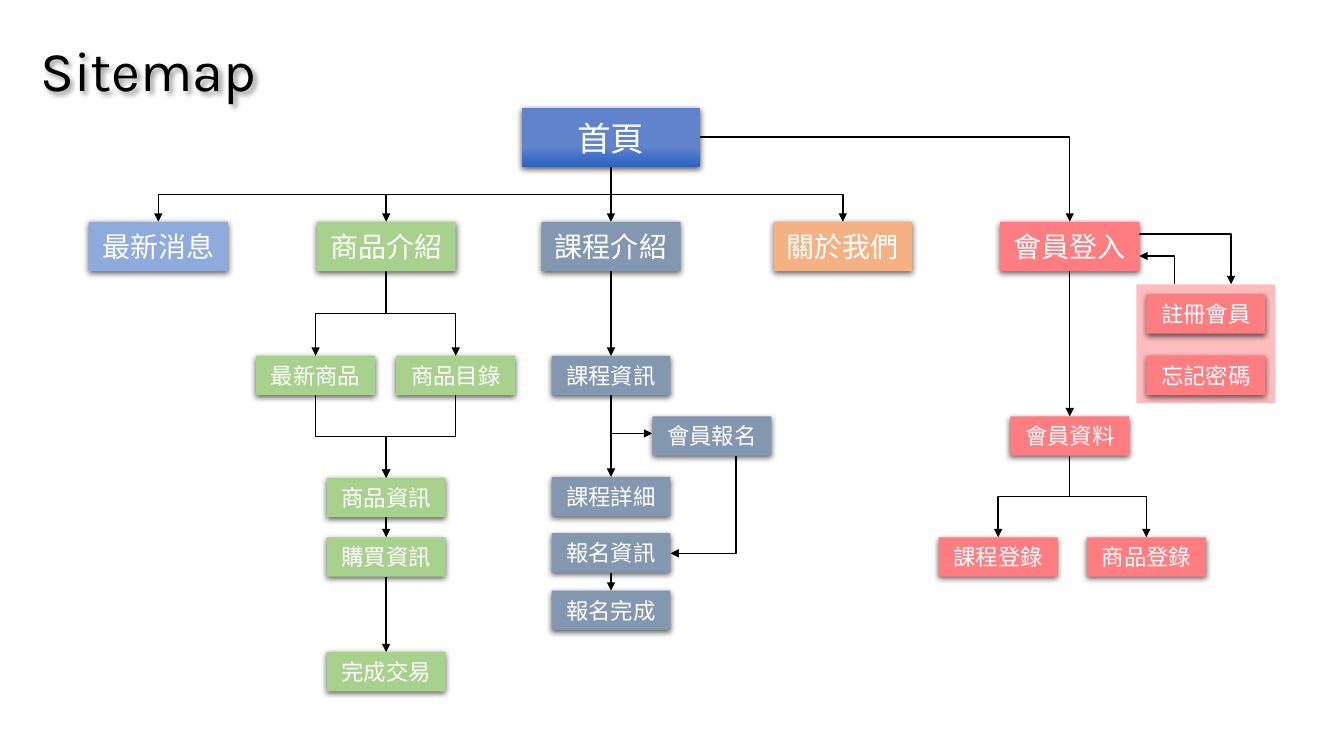
from copy import deepcopy

from lxml import etree
from pptx import Presentation
from pptx.dml.color import RGBColor
from pptx.enum.shapes import MSO_CONNECTOR, MSO_SHAPE
from pptx.enum.text import MSO_ANCHOR, PP_ALIGN
from pptx.oxml.ns import qn
from pptx.util import Inches, Pt

RECT = MSO_SHAPE.RECTANGLE
STRAIGHT, ELBOW = MSO_CONNECTOR.STRAIGHT, MSO_CONNECTOR.ELBOW
MIDDLE, CENTER = MSO_ANCHOR.MIDDLE, PP_ALIGN.CENTER

BLACK = RGBColor(0x00, 0x00, 0x00)
WHITE = RGBColor(0xFF, 0xFF, 0xFF)
BLUE = RGBColor(0x8F, 0xAA, 0xDC)
GREEN = RGBColor(0xA9, 0xD1, 0x8E)
SLATE = RGBColor(0x84, 0x97, 0xB0)
ORANGE = RGBColor(0xF4, 0xB1, 0x83)
RED = RGBColor(0xFF, 0x7C, 0x80)
FADE = [
    (0.66, RGBColor(0x61, 0x83, 0xCB)),
    (0.84, RGBColor(0x3E, 0x70, 0xCA)),
    (1.0, RGBColor(0x30, 0x62, 0xBB)),
]
LATIN, HAN = "Karla", "Noto Sans CJK JP"

# level: width, height, text size
LEVELS = {1: (1.77, 0.59, 24), 2: (1.38, 0.49, 20), 3: (1.18, 0.39, 16)}

# page: level, centre x, top, colour
PAGES = {
    "首頁": (1, 6.06, 1.07, None),
    "最新消息": (2, 1.57, 2.2, BLUE),
    "商品介紹": (2, 3.83, 2.2, GREEN),
    "課程介紹": (2, 6.06, 2.2, SLATE),
    "關於我們": (2, 8.36, 2.2, ORANGE),
    "會員登入": (2, 10.61, 2.2, RED),
    "最新商品": (3, 3.13, 3.53, GREEN),
    "商品目錄": (3, 4.52, 3.53, GREEN),
    "商品資訊": (3, 3.83, 4.74, GREEN),
    "購買資訊": (3, 3.83, 5.33, GREEN),
    "完成交易": (3, 3.83, 6.47, GREEN),
    "課程資訊": (3, 6.06, 3.53, SLATE),
    "會員報名": (3, 7.06, 4.13, SLATE),
    "課程詳細": (3, 6.06, 4.73, SLATE),
    "報名資訊": (3, 6.06, 5.29, SLATE),
    "報名完成": (3, 6.06, 5.86, SLATE),
    "註冊會員": (3, 11.96, 2.92, RED),
    "忘記密碼": (3, 11.96, 3.53, RED),
    "會員資料": (3, 10.61, 4.13, RED),
    "課程登錄": (3, 9.9, 5.33, RED),
    "商品登錄": (3, 11.37, 5.33, RED),
}

# from the foot of one page to the top of the next
DOWN = [
    ("首頁", "關於我們"), ("首頁", "最新消息"), ("首頁", "課程介紹"),
    ("商品介紹", "最新商品"), ("商品介紹", "商品目錄"),
    ("最新商品", "商品資訊"), ("商品目錄", "商品資訊"),
    ("商品資訊", "購買資訊"), ("購買資訊", "完成交易"),
    ("課程介紹", "課程資訊"), ("課程資訊", "課程詳細"),
    ("報名資訊", "報名完成"), ("會員登入", "會員資料"),
    ("會員資料", "課程登錄"), ("會員資料", "商品登錄"),
]
BRANCHES = [((3.83, 1.93), (3.83, 2.2)), ((6.06, 4.3), (6.47, 4.3))]

# one-corner arrows: start, end, leaves upright
CORNERS = [
    ((11.65, 2.82), (11.3, 2.54), True),
    ((6.94, 1.36), (10.61, 2.2), False),
    ((7.3, 4.52), (6.65, 5.49), True),
    ((11.3, 2.32), (12.21, 2.82), False),
]


def shade(shape, blur, dist, angle, alpha):
    """Give the shape a soft black shadow."""
    shape.shadow.inherit = False
    effects = shape._element.spPr.find(qn("a:effectLst"))
    outer = etree.SubElement(
        effects, qn("a:outerShdw"), blurRad=str(Pt(blur)), dist=str(Pt(dist)),
        dir=str(angle * 60000), algn="ctr", rotWithShape="0")
    black = etree.SubElement(outer, qn("a:srgbClr"), val="000000")
    etree.SubElement(black, qn("a:alpha"), val=str(alpha * 1000))


def write(shape, text, size, face, color):
    frame = shape.text_frame
    frame.word_wrap = False
    run = frame.paragraphs[0].add_run()
    run.text = text
    run.font.size = Pt(size)
    run.font.name = face
    run.font.color.rgb = color
    return run


def fade(shape):
    """Fill the shape with the three-stop gradient, top to bottom."""
    shape.fill.gradient()
    shape.fill.gradient_angle = 270
    stops = shape._element.spPr.find(".//" + qn("a:gsLst"))
    stops.append(deepcopy(stops[0]))
    for stop, (place, color) in zip(shape.fill.gradient_stops, FADE):
        stop.position = place
        stop.color.rgb = color


def add_page(slide, text, level, mid, top, color):
    wide, high, size = LEVELS[level]
    box = slide.shapes.add_shape(
        RECT, Inches(mid - wide / 2), Inches(top), Inches(wide), Inches(high))
    if color is None:
        fade(box)
    else:
        box.fill.solid()
        box.fill.fore_color.rgb = color
    box.line.fill.background()
    shade(box, 4.5, 1.5, 90, 63)
    box.text_frame.vertical_anchor = MIDDLE
    run = write(box, text, size, HAN, WHITE)
    etree.SubElement(run.font._element, qn("a:ea"), typeface=HAN)
    box.text_frame.paragraphs[0].alignment = CENTER


def add_arrow(slide, start, end, kind=STRAIGHT, upright=False, corner=False):
    """Draw an arrow; an upright elbow is laid flat, then turned."""
    (x1, y1), (x2, y2) = start, end
    turn = 0
    if upright:
        dx, dy = x2 - x1, y2 - y1
        sign = 1 if dx < 0 < dy else -1
        turn = 90 if sign == 1 else 270
        midx, midy = (x1 + x2) / 2, (y1 + y2) / 2
        x1, x2 = midx - sign * dy / 2, midx + sign * dy / 2
        y1, y2 = midy + sign * dx / 2, midy - sign * dx / 2
    arrow = slide.shapes.add_connector(
        kind, Inches(x1), Inches(y1), Inches(x2), Inches(y2))
    arrow.line.color.rgb = BLACK
    arrow.line.width = Pt(1)
    props = arrow._element.spPr
    if turn:
        props.find(qn("a:xfrm")).set("rot", str(turn * 60000))
    if corner:
        props.find(qn("a:prstGeom")).set("prst", "bentConnector2")
    etree.SubElement(props.find(qn("a:ln")), qn("a:tailEnd"), type="triangle")
    etree.SubElement(props, qn("a:effectLst"))


def main():
    deck = Presentation()
    deck.slide_width, deck.slide_height = Inches(13.33), Inches(7.5)
    slide = deck.slides.add_slide(deck.slide_layouts[6])

    title = slide.shapes.add_textbox(
        Inches(0.3), Inches(0.3), Inches(2.45), Inches(0.77))
    write(title, "Sitemap", 40, LATIN, BLACK)
    shade(title, 4, 3, 45, 40)

    panel = slide.shapes.add_shape(
        RECT, Inches(11.27), Inches(2.82), Inches(1.38), Inches(1.18))
    panel.fill.solid()
    panel.fill.fore_color.rgb = RED
    tint = panel._element.spPr.find(".//" + qn("a:srgbClr"))
    etree.SubElement(tint, qn("a:alpha"), val="50000")
    panel.line.fill.background()
    panel.shadow.inherit = False

    for upper, lower in DOWN:
        level, x1, top, _ = PAGES[upper]
        _, x2, y2, _ = PAGES[lower]
        bent = x1 != x2
        add_arrow(slide, (x1, top + LEVELS[level][1]), (x2, y2),
                  ELBOW if bent else STRAIGHT, bent)
    for start, end in BRANCHES:
        add_arrow(slide, start, end)
    for start, end, upright in CORNERS:
        add_arrow(slide, start, end, ELBOW, upright, True)
    for text, page in PAGES.items():
        add_page(slide, text, *page)

    deck.save("out.pptx")


if __name__ == "__main__":
    main()
